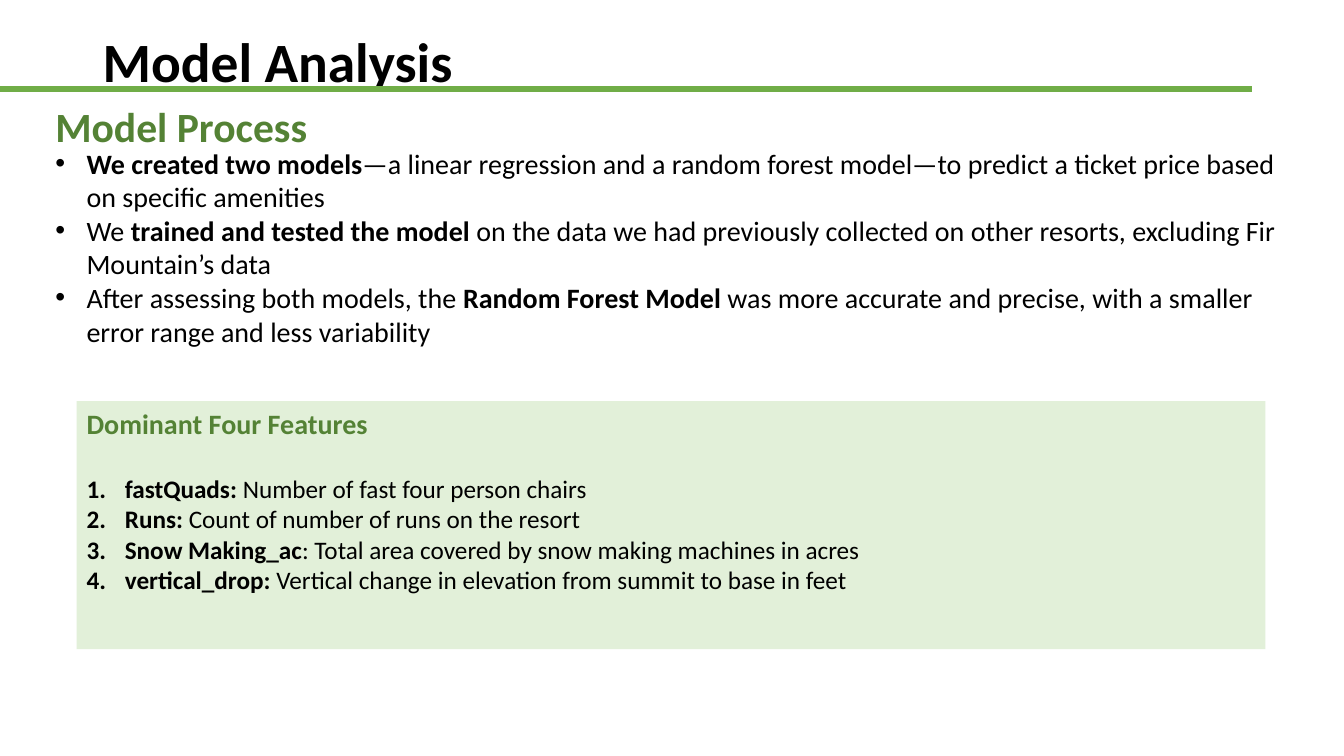
from lxml.etree import SubElement
from pptx import Presentation
from pptx.dml.color import RGBColor
from pptx.enum.shapes import MSO_CONNECTOR, MSO_SHAPE
from pptx.enum.text import MSO_ANCHOR, PP_ALIGN
from pptx.oxml.ns import qn
from pptx.util import Inches, Pt

BLACK = RGBColor(0x00, 0x00, 0x00)
GREEN = RGBColor(0x70, 0xAD, 0x47)
DARK_GREEN = RGBColor(0x54, 0x82, 0x35)
PALE_GREEN = RGBColor(0xE2, 0xF0, 0xD9)

PROCESS_STEPS = [
    [("We created two models", True),
     ("—a linear regression and a random forest model—to predict a ticket price "
      "based on specific amenities", False)],
    [("We ", False), ("trained and tested the model ", True),
     ("on the data we had previously collected on other resorts, excluding "
      "Fir Mountain’s data", False)],
    [("After assessing both models, the ", False), ("Random Forest Model ", True),
     ("was more accurate and precise, with a smaller error range and less "
      "variability", False)],
]
FEATURES = [
    [("fastQuads: ", True), ("Number of fast four person chairs", False)],
    [("Runs: ", True), ("Count of number of runs on the resort", False)],
    [("Snow Making_ac", True),
     (": Total area covered by snow making machines in acres", False)],
    [("vertical_drop: ", True),
     ("Vertical change in elevation from summit to base in feet", False)],
]


def write_paragraph(para, spans, size, color=BLACK, line_spacing=None, space_after=0):
    para.alignment = PP_ALIGN.LEFT
    para.line_spacing = line_spacing
    para.space_after = Pt(space_after)
    for text, bold in spans:
        span = para.add_run()
        span.text = text
        span.font.name = "Calibri"
        span.font.size = Pt(size)
        span.font.bold = bold
        span.font.color.rgb = color


def add_marker(para, indent, tag, **attributes):
    """Give the paragraph a hanging indent and a bullet or number."""
    properties = para._p.get_or_add_pPr()
    properties.set("marL", str(Inches(indent)))
    properties.set("indent", str(-Inches(indent)))
    font = "Arial" if tag == "a:buChar" else "+mj-lt"
    SubElement(properties, qn("a:buFont"), typeface=font)
    SubElement(properties, qn(tag), **attributes)


deck = Presentation()
deck.slide_width = Inches(13.33)
deck.slide_height = Inches(7.5)
page = deck.slides.add_slide(deck.slide_layouts[6])

# Headings and the rule between them
for text, left, top, size, color, spacing in [
    ("Model Analysis", 0.92, 0.4, 39.6, BLACK, 0.9),
    ("Model Process", 0.45, 1.07, 29.7, DARK_GREEN, 0.7),
]:
    heading = page.shapes.add_textbox(Inches(left), Inches(top), Inches(11.5), Inches(0.48))
    heading.text_frame.word_wrap = True
    heading.text_frame.vertical_anchor = MSO_ANCHOR.MIDDLE
    write_paragraph(heading.text_frame.paragraphs[0], [(text, True)], size, color, spacing)

rule = page.shapes.add_connector(
    MSO_CONNECTOR.STRAIGHT, Inches(0), Inches(0.88), Inches(12.42), Inches(0.88))
rule.line.color.rgb = GREEN
rule.line.width = Pt(4.5)
SubElement(rule._element.spPr, qn("a:effectLst"))

# Model process bullets
process_box = page.shapes.add_textbox(Inches(0.45), Inches(1.4), Inches(12.62), Inches(2.12))
process_frame = process_box.text_frame
process_frame.word_wrap = True
for index, step in enumerate(PROCESS_STEPS):
    para = process_frame.add_paragraph() if index else process_frame.paragraphs[0]
    write_paragraph(para, step, 20)
    add_marker(para, 0.31, "a:buChar", char="•")

# Dominant features panel
panel = page.shapes.add_shape(
    MSO_SHAPE.RECTANGLE, Inches(0.76), Inches(3.98), Inches(11.79), Inches(2.46))
panel.shadow.inherit = False
panel.fill.solid()
panel.fill.fore_color.rgb = PALE_GREEN
panel.line.fill.background()
panel_frame = panel.text_frame
panel_frame.word_wrap = True
panel_frame.vertical_anchor = MSO_ANCHOR.TOP
write_paragraph(panel_frame.paragraphs[0], [("Dominant Four Features", True)], 20,
                DARK_GREEN, space_after=24)
for feature in FEATURES:
    para = panel_frame.add_paragraph()
    write_paragraph(para, feature, 18)
    add_marker(para, 0.38, "a:buAutoNum", type="arabicPeriod")

deck.save("out.pptx")
